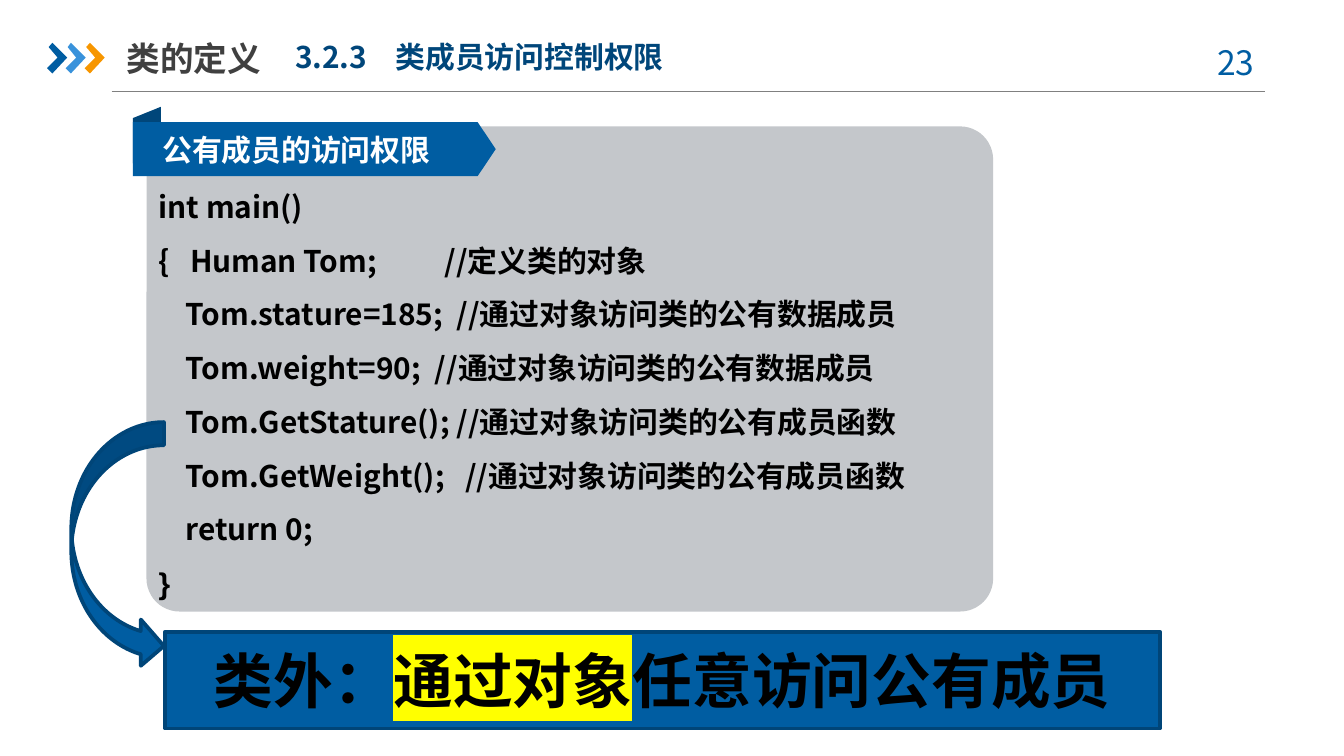
from lxml.etree import SubElement
from pptx import Presentation
from pptx.dml.color import RGBColor
from pptx.enum.shapes import MSO_CONNECTOR, MSO_SHAPE as Preset
from pptx.enum.text import MSO_ANCHOR as Anchor, PP_ALIGN as Align
from pptx.oxml.ns import qn
from pptx.util import Cm, Pt

# Content
SECTION = "类的定义"
TOPIC = "3.2.3\t类成员访问控制权限"
PAGE = "23"
CODE_TITLE = "公有成员的访问权限"
CODE = [
    "int main()",
    "{   Human Tom;          //定义类的对象",
    "    Tom.stature=185;  //通过对象访问类的公有数据成员",
    "    Tom.weight=90;  //通过对象访问类的公有数据成员",
    "    Tom.GetStature(); //通过对象访问类的公有成员函数",
    "    Tom.GetWeight();   //通过对象访问类的公有成员函数",
    "    return 0;",
    "}",
]
CONCLUSION = [("类外：", False), ("通过对象", True), ("任意访问公有成员", False)]

THEME = {
    "font": "Noto Sans CJK SC", "brace_font": "Arial",
    "blue": "005DA2", "navy": "00467A", "edge": "004578", "sky": "3992DB",
    "orange": "F79600", "panel": "C4C7CB", "rule": "808080", "heading": "404040",
    "black": "000000", "white": "FFFFFF", "highlight": "FFFF00",
    "title_size": 18, "body_size": 16, "conclusion_size": 32,
}
CHEVRON = [(3, 8), (10, 0), (38, 28), (10, 58), (0, 48), (20, 28)]  # 0.01 cm
CHEVRON_LEFT, CHEVRON_TOP, CHEVRON_STEP = 89, 81, 35.5

deck = Presentation()
deck.slide_width, deck.slide_height = Cm(25.4), Cm(14.29)
slide = deck.slides.add_slide(deck.slide_layouts[6])
shapes = slide.shapes


def color(name):
    return RGBColor.from_string(THEME[name])


def paint(shape, fill, edge=None):
    shape.shadow.inherit = False
    shape.fill.solid()
    shape.fill.fore_color.rgb = color(fill)
    if edge:
        shape.line.color.rgb = color(edge)
        shape.line.width = Pt(2)
    else:
        shape.line.fill.background()
    return shape


def add_block(preset, box, fill, edge=None, adjust=None, flip=False):
    block = paint(shapes.add_shape(preset, *map(Cm, box)), fill, edge)
    if adjust is not None:
        block.adjustments[0] = adjust
    if flip:
        block._element.spPr.get_or_add_xfrm().set("flipH", "1")
    return block


def style(paragraph, size, ink, bold=True, face="font"):
    font = paragraph.font
    font.size, font.bold, font.name = Pt(THEME[size]), bold, THEME[face]
    font.color.rgb = color(ink)
    east_asian = SubElement(font._element, qn("a:ea"))
    east_asian.set("typeface", THEME["font"])


def add_text(lines, box, size, ink, bold=True, insets=(0, 0), align=Align.LEFT,
             anchor=Anchor.TOP, spacing=None, tab=None):
    frame = shapes.add_textbox(*map(Cm, box)).text_frame
    frame.word_wrap = True
    frame.vertical_anchor = anchor
    frame.margin_left = frame.margin_right = Cm(insets[0])
    frame.margin_top = frame.margin_bottom = Cm(insets[1])
    for index, line in enumerate(lines):
        paragraph = frame.add_paragraph() if index else frame.paragraphs[0]
        paragraph.text = line
        paragraph.alignment = align
        if spacing:
            paragraph.line_spacing = spacing
        if tab:
            stops = SubElement(paragraph._p.get_or_add_pPr(), qn("a:tabLst"))
            stop = SubElement(stops, qn("a:tab"))
            stop.set("pos", str(Cm(tab)))
            stop.set("algn", "l")
        style(paragraph, size, ink, bold, "brace_font" if line == "}" else "font")


# Header: rule, chevrons, titles and page number
rule = shapes.add_connector(MSO_CONNECTOR.STRAIGHT, Cm(2.11), Cm(1.73), Cm(23.9), Cm(1.73))
rule.line.color.rgb = color("rule")
rule.line.width = Pt(0.75)
SubElement(rule._element.spPr, qn("a:effectLst"))

for index, fill in enumerate(["blue", "sky", "orange"]):
    left = CHEVRON_LEFT + index * CHEVRON_STEP
    corners = [(left + x, CHEVRON_TOP + y) for x, y in CHEVRON]
    builder = shapes.build_freeform(*corners[0], scale=Cm(0.01))
    builder.add_line_segments(corners[1:], close=True)
    paint(builder.convert_to_shape(), fill)

add_text([PAGE], (22.43, 0.66, 1.85, 1.02), "title_size", "blue", bold=False,
         insets=(0.25, 0.13), align=Align.CENTER)
add_text([SECTION], (2.39, 0.56, 5.92, 1.07), "title_size", "heading",
         insets=(0, 0.13), anchor=Anchor.MIDDLE)
add_text([TOPIC], (5.33, 0.61, 8.2, 0.94), "body_size", "navy",
         insets=(0.25, 0.13), tab=1.9)

# Code panel with its ribbon
fold = add_block(Preset.FLOWCHART_DATA, (2.24, 2.29, 1.07, 0.53), "navy", flip=True)
fold.rotation = 270
add_block(Preset.ROUNDED_RECTANGLE, (2.77, 2.39, 16, 9.17), "panel", adjust=0.068)
add_block(Preset.PENTAGON, (2.51, 2.31, 6.86, 1.02), "blue", adjust=0.335)
add_text(CODE, (3, 3.23, 16.71, 8.2), "body_size", "black",
         align=Align.JUSTIFY, spacing=1.5)
add_text([CODE_TITLE], (3.07, 2.49, 5.23, 0.69), "body_size", "white")

# Arrow to the conclusion
add_block(Preset.CURVED_LEFT_ARROW, (1.35, 7.98, 1.75, 4.67), "blue", "edge", flip=True)
banner = add_block(Preset.RECTANGLE, (3.12, 11.94, 18.8, 1.83), "blue", "edge")
banner.text_frame.vertical_anchor = Anchor.MIDDLE
conclusion = banner.text_frame.paragraphs[0]
conclusion.alignment = Align.CENTER
style(conclusion, "conclusion_size", "black")
for words, marked in CONCLUSION:
    run = conclusion.add_run()
    run.text = words
    run.font.color.rgb = color("black")
    if marked:
        highlight = SubElement(run.font._element, qn("a:highlight"))
        SubElement(highlight, qn("a:srgbClr")).set("val", THEME["highlight"])

deck.save("out.pptx")
